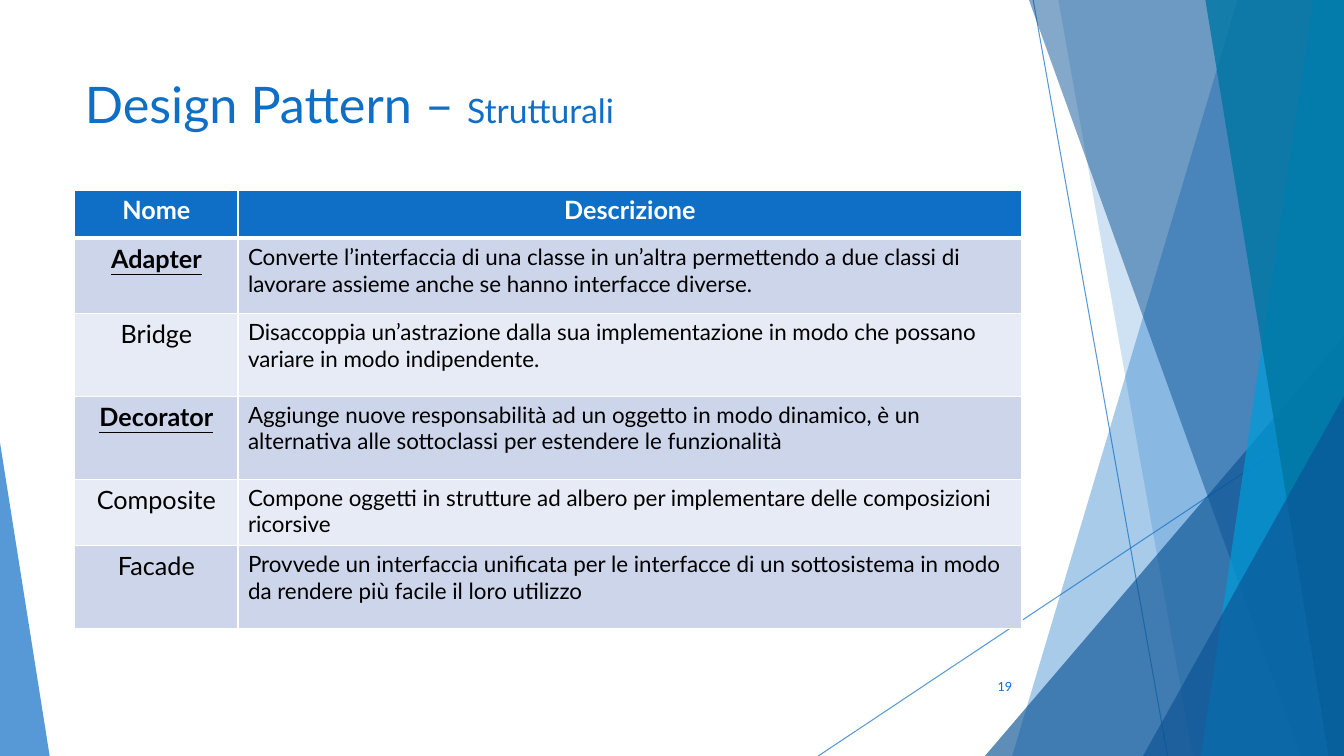
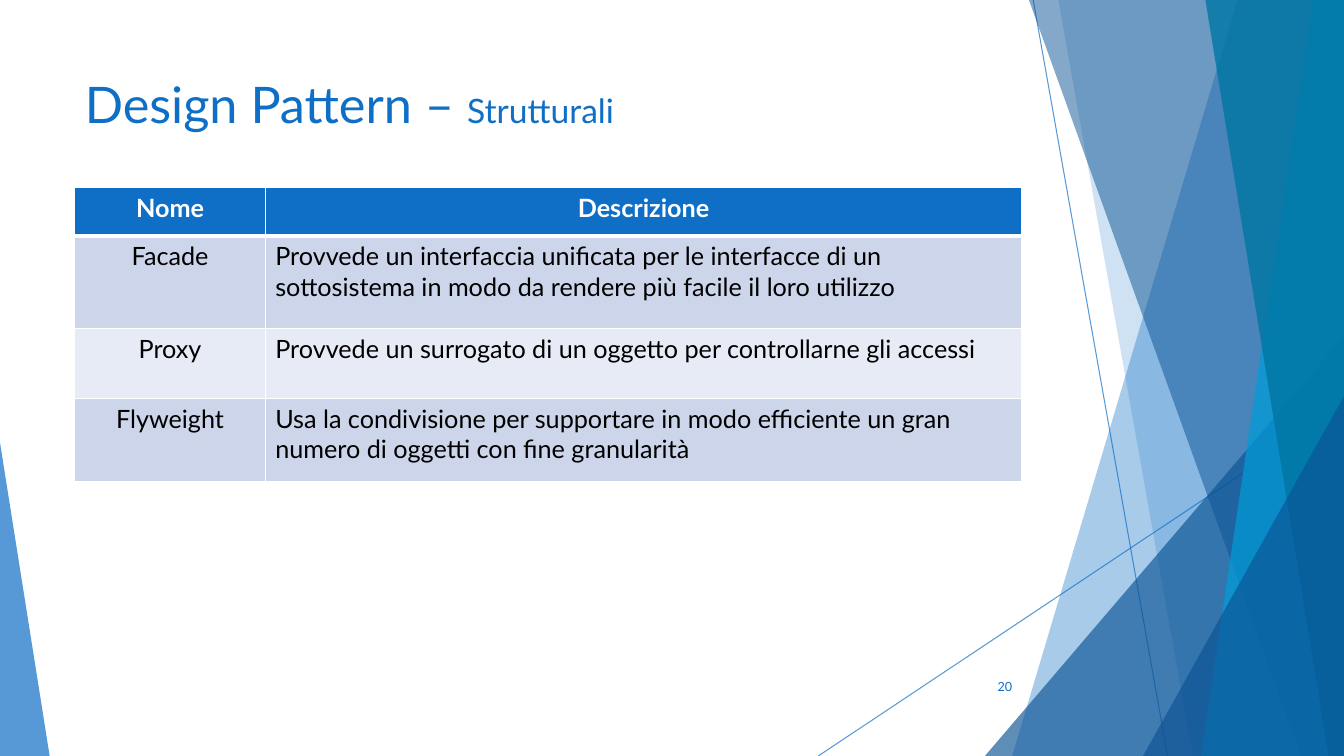
from collections import namedtuple

from lxml import etree
from pptx import Presentation
from pptx.dml.color import RGBColor
from pptx.enum.shapes import MSO_CONNECTOR, MSO_SHAPE
from pptx.enum.text import MSO_ANCHOR, PP_ALIGN
from pptx.oxml.ns import qn
from pptx.util import Pt

STRAIGHT = MSO_CONNECTOR.STRAIGHT
TRIANGLE = MSO_SHAPE.ISOSCELES_TRIANGLE
TOP, MIDDLE = MSO_ANCHOR.TOP, MSO_ANCHOR.MIDDLE
LEFT, CENTER, RIGHT = PP_ALIGN.LEFT, PP_ALIGN.CENTER, PP_ALIGN.RIGHT

FONT = "Lato"
BLUE, NAVY, SKY, TEAL = "0F6FC6", "0B5394", "009DD9", "0076A3"
WHITE, BLACK = "FFFFFF", "000000"
ROW_FILLS = ("CCD5EA", "E7EBF5")

Box = namedtuple("Box", "left top width height")
Pattern = namedtuple("Pattern", "name description height emphasis", defaults=(False,))

SLIDE_BOX = Box(0, 0, 960, 540)
TITLE_BOX = Box(53.5, 48.5, 676.5, 103.5)
NUMBER_BOX = Box(676, 476, 54, 29)
HEADER_HEIGHT = 34.5

FACADE = ("Facade", "Provvede un interfaccia unificata per le interfacce di un "
          "sottosistema in modo da rendere più facile il loro utilizzo")
FIRST_PATTERNS = (
    Pattern("Adapter", "Converte l’interfaccia di una classe in un’altra permettendo a due "
            "classi di lavorare assieme anche se hanno interfacce diverse.", 53.5, True),
    Pattern("Bridge", "Disaccoppia un’astrazione dalla sua implementazione in modo che "
            "possano variare in modo indipendente.", 59.25),
    Pattern("Decorator", "Aggiunge nuove responsabilità ad un oggetto in modo dinamico, è un "
            "alternativa alle sottoclassi per estendere le funzionalità", 59.25, True),
    Pattern("Composite", "Compone oggetti in strutture ad albero per implementare delle "
            "composizioni ricorsive", 47.5),
    Pattern(*FACADE, 59.25),
)
SECOND_PATTERNS = (
    Pattern(*FACADE, 66.25),
    Pattern("Proxy", "Provvede un surrogato di un oggetto per controllarne gli accessi", 49.75),
    Pattern("Flyweight", "Usa la condivisione per supportare in modo efficiente un gran "
            "numero di oggetti con fine granularità", 59.25),
)


def color(value):
    """Turn a hex string into a colour."""
    return RGBColor.from_string(value)


def set_fill(fill, value, opacity=100):
    """Apply a solid fill with an opacity in percent."""
    fill.solid()
    fill.fore_color.rgb = color(value)
    if opacity < 100:
        tint = fill._xPr.find(qn("a:solidFill"))[0]
        etree.SubElement(tint, qn("a:alpha"), val=str(opacity * 1000))


def finish_shape(shape, value, opacity):
    """Give a decorative shape its flat translucent look."""
    shape.shadow.inherit = False
    shape.line.fill.background()
    set_fill(shape.fill, value, opacity)


def add_run(paragraph, text, size, value, bold=False, underline=False):
    """Add one formatted run to a paragraph."""
    run = paragraph.add_run()
    run.text = text
    run.font.name = FONT
    run.font.size = Pt(size)
    run.font.color.rgb = color(value)
    run.font.bold = bold
    run.font.underline = underline


def add_text(slide, box, runs, anchor=TOP, alignment=LEFT):
    """Add a wrapped text box holding blue runs of (text, size)."""
    frame = slide.shapes.add_textbox(*map(Pt, box)).text_frame
    frame.word_wrap = True
    frame.vertical_anchor = anchor
    frame.paragraphs[0].alignment = alignment
    for text, size in runs:
        add_run(frame.paragraphs[0], text, size, BLUE)


def add_thin_line(slide, box, start, end):
    """Draw a fine translucent line between two points of the box."""
    ends = [Pt(origin + offset) for point in (start, end) for origin, offset in zip(box, point)]
    line = slide.shapes.add_connector(STRAIGHT, *ends)
    line.line.width = Pt(0.75)
    set_fill(line.line.fill, BLUE, 70)
    etree.SubElement(line._element.spPr, qn("a:effectLst"))


def add_band(slide, box, top_x, bottom_x, value, opacity):
    """Fill the box to the right of a slanted edge."""
    right, bottom = box.left + box.width, box.top + box.height
    builder = slide.shapes.build_freeform(Pt(box.left + top_x), Pt(box.top))
    corners = ((right, box.top), (right, bottom), (box.left + bottom_x, bottom))
    builder.add_line_segments([(Pt(x), Pt(y)) for x, y in corners], close=True)
    finish_shape(builder.convert_to_shape(), value, opacity)


def add_corner(slide, box, width, height, value, opacity, on_right=True):
    """Place a right-angled triangle in a bottom corner of the box."""
    left = box.left + (box.width - width if on_right else 0)
    top = box.top + box.height - height
    shape = slide.shapes.add_shape(TRIANGLE, Pt(left), Pt(top), Pt(width), Pt(height))
    shape.adjustments[0] = 1 if on_right else 0
    finish_shape(shape, value, opacity)


def add_backdrop(slide, box):
    """Draw the overlapping facets on both sides of the slide."""
    add_thin_line(slide, box, (738, 0), (834, 540))
    add_thin_line(slide, box, (960, 290), (584.5, 540))
    add_band(slide, box, 884, 723, BLUE, 36)
    add_band(slide, box, 756, 852, BLUE, 20)
    add_corner(slide, box, 256.5, 300, NAVY, 66)
    add_band(slide, box, 735, 929.5, NAVY, 50)
    add_band(slide, box, 938, 858, SKY, 70)
    add_band(slide, box, 861, 949, TEAL, 80)
    add_corner(slide, box, 143.5, 257, NAVY, 66)
    add_corner(slide, box, 35.5, 224, BLUE, 70, on_right=False)


def style_cell(cell, fill, top_border, bottom_border):
    """Set the white borders and the fill of a cell."""
    properties = cell._tc.get_or_add_tcPr()
    for side, width in (("L", 1), ("R", 1), ("T", top_border), ("B", bottom_border)):
        border = etree.SubElement(properties, qn(f"a:ln{side}"), w=str(Pt(width)))
        solid = etree.SubElement(border, qn("a:solidFill"))
        etree.SubElement(solid, qn("a:srgbClr"), val=WHITE)
    set_fill(cell.fill, fill)


def add_cell_text(cell, text, alignment, *style):
    """Write one aligned run into a cell."""
    paragraph = cell.text_frame.paragraphs[0]
    paragraph.alignment = alignment
    add_run(paragraph, text, *style)


def add_pattern_table(slide, box, name_width, patterns, description_size):
    """Build the table of pattern names and descriptions."""
    heights = [HEADER_HEIGHT] + [pattern.height for pattern in patterns]
    table = slide.shapes.add_table(len(heights), 2, *map(Pt, box)).table
    table.first_row = table.horz_banding = False
    for column, width in zip(table.columns, (name_width, box.width - name_width)):
        column.width = Pt(width)
    for index, height in enumerate(heights):
        table.rows[index].height = Pt(height)
        fill = ROW_FILLS[(index - 1) % 2] if index else BLUE
        for cell in table.rows[index].cells:
            style_cell(cell, fill, 3 if index == 1 else 1, 1 if index else 3)
    for column, heading in enumerate(("Nome", "Descrizione")):
        add_cell_text(table.cell(0, column), heading, CENTER, 18, WHITE, True)
    for row, pattern in enumerate(patterns, 1):
        add_cell_text(table.cell(row, 0), pattern.name, CENTER, 18, BLACK,
                      pattern.emphasis, pattern.emphasis)
        add_cell_text(table.cell(row, 1), pattern.description, LEFT, description_size, BLACK)


def add_pattern_slide(presentation, number, table_top, name_width, patterns, description_size):
    """Add a slide with backdrop, title, pattern table and page number."""
    slide = presentation.slides.add_slide(presentation.slide_layouts[6])
    add_backdrop(slide, SLIDE_BOX)
    add_text(slide, TITLE_BOX, (("Design Pattern – ", 36), ("Strutturali", 24)))
    table_height = HEADER_HEIGHT + sum(pattern.height for pattern in patterns)
    table_box = Box(TITLE_BOX.left, table_top, TITLE_BOX.width, table_height)
    add_pattern_table(slide, table_box, name_width, patterns, description_size)
    add_text(slide, NUMBER_BOX, ((str(number), 9),), MIDDLE, RIGHT)


def main():
    """Build and save the presentation."""
    presentation = Presentation()
    presentation.slide_width = Pt(SLIDE_BOX.width)
    presentation.slide_height = Pt(SLIDE_BOX.height)
    add_pattern_slide(presentation, 19, 135.75, 116.5, FIRST_PATTERNS, 16)
    add_pattern_slide(presentation, 20, 134, 136, SECOND_PATTERNS, 18)
    presentation.save("out.pptx")


if __name__ == "__main__":
    main()
